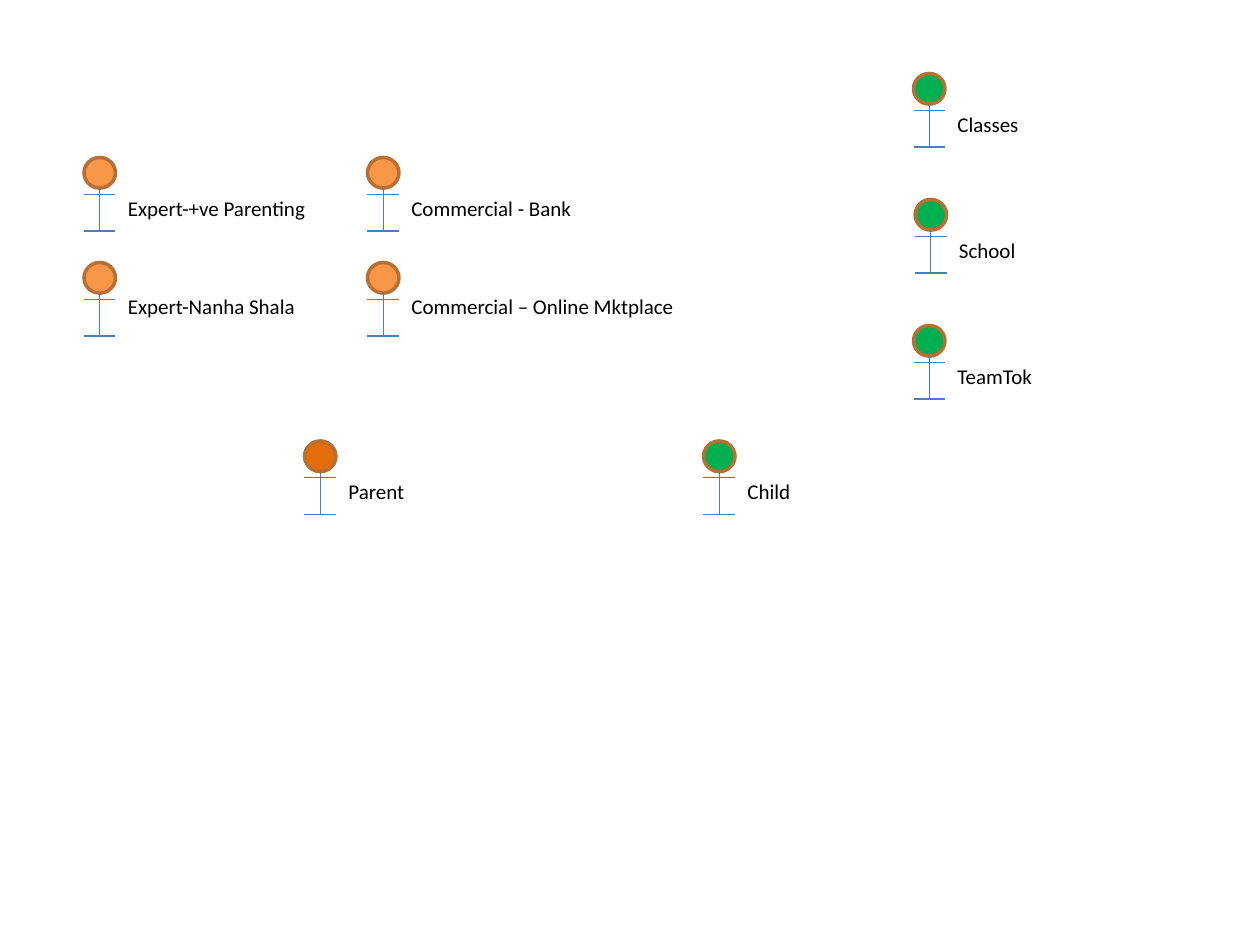
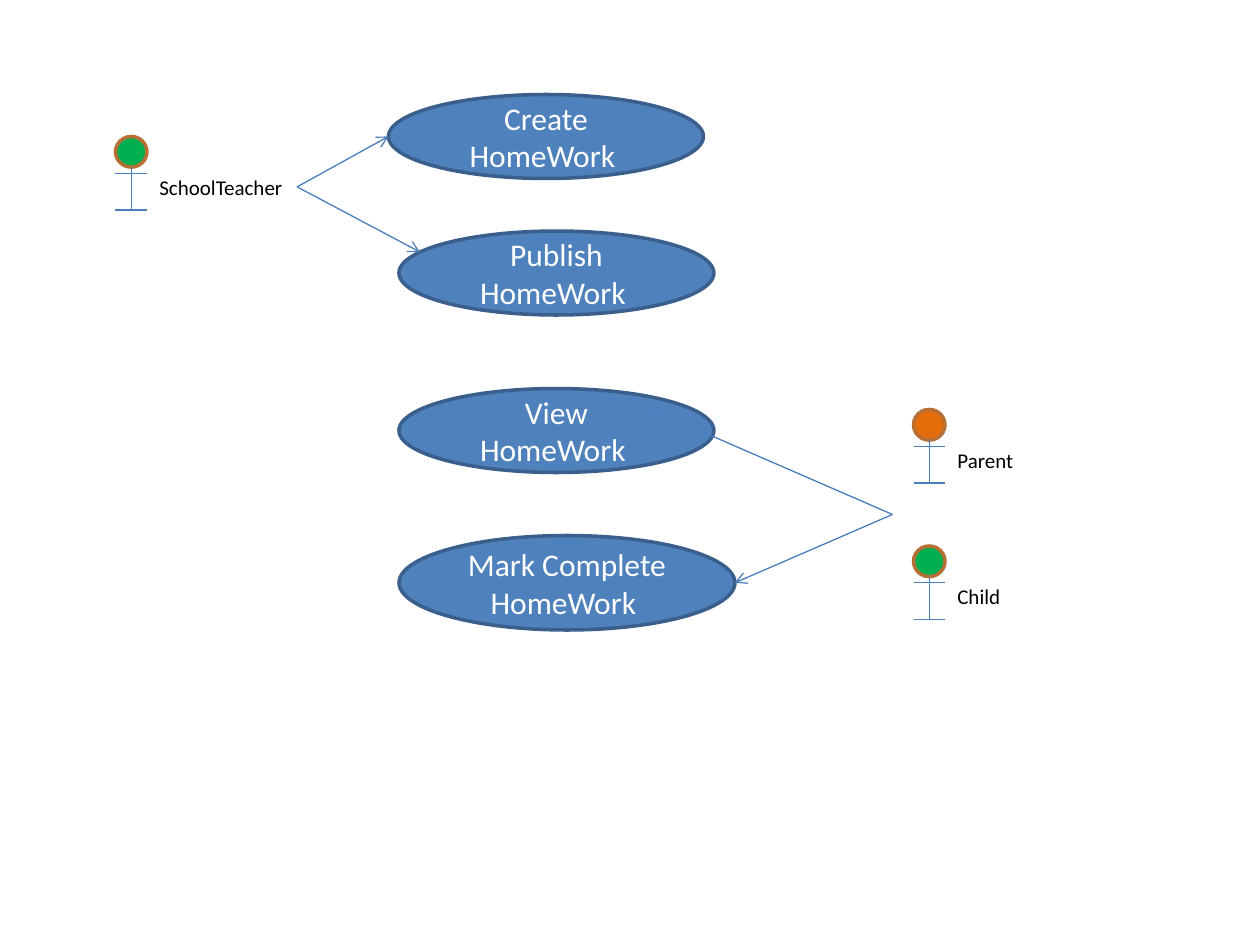
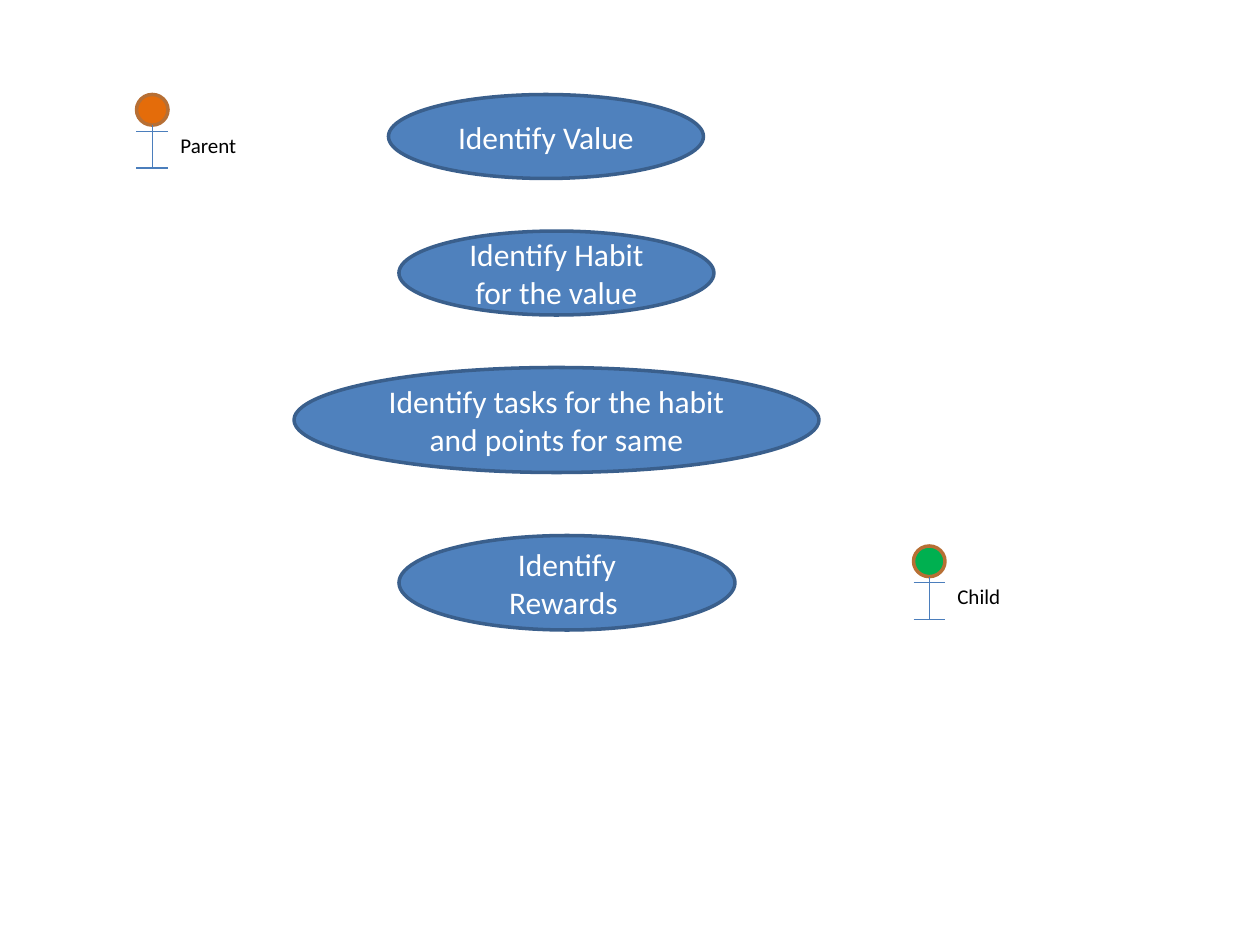
from dataclasses import dataclass

from lxml import etree
from pptx import Presentation
from pptx import util as u
from pptx.dml.color import RGBColor
from pptx.enum import shapes, text
from pptx.oxml.ns import qn

# Shared colours and type
HEAD_EXPERT = RGBColor(0xF7, 0x96, 0x46)
HEAD_PARENT = RGBColor(0xE4, 0x6C, 0x0A)
HEAD_GREEN = RGBColor(0x00, 0xB0, 0x50)
HEAD_EDGE = RGBColor(0xB7, 0x6F, 0x34)
STROKE = RGBColor(0x4B, 0x7E, 0xBC)
CASE_FILL = RGBColor(0x4F, 0x81, 0xBD)
CASE_EDGE = RGBColor(0x3A, 0x5F, 0x8C)
BLACK = RGBColor(0x00, 0x00, 0x00)
WHITE = RGBColor(0xFF, 0xFF, 0xFF)
LABEL_FONT = {"name": "Calibri", "size": u.Pt(12)}
CASE_FONT = {"name": "Calibri", "size": u.Pt(18)}

# Grid of 120 columns by 90 rows over the slide
WIDTH, HEIGHT = u.Inches(10), u.Inches(7.5)
COLUMNS, ROWS = 120, 90

# Stick figure proportions, in grid cells
BODY_WIDTH, HEAD_HEIGHT = 3, 2.92
ARMS_ROW, FEET_ROW = 3.5, 7
LABEL_HEIGHT = 3.64

# Label widths, in columns
LABEL_WIDTHS = {
    "Expert-+ve Parenting": 19.6, "Expert-Nanha Shala": 19,
    "Commercial - Bank": 17.8, "Commercial – Online Mktplace": 27.7,
    "Classes": 8.3, "School": 7.9, "TeamTok": 10.2,
    "Parent": 7.8, "Child": 6.5, "SchoolTeacher": 14.3,
}


@dataclass(frozen=True)
class Actor:
    role: str
    column: float
    row: float
    head: RGBColor = HEAD_GREEN
    label_drop: float = 3


@dataclass(frozen=True)
class UseCase:
    title: str
    column: float
    row: float
    columns: float = 30
    rows: float = 8


@dataclass(frozen=True)
class Arrow:
    start: tuple[float, float]
    end: tuple[float, float]


def across(columns: float) -> int:
    return round(WIDTH * columns / COLUMNS)


def down(rows: float) -> int:
    return round(HEIGHT * rows / ROWS)


def set_values(target, values: dict) -> None:
    for name, value in values.items():
        setattr(target, name, value)


def draw_stroke(canvas, start: tuple[float, float], end: tuple[float, float]):
    stroke = canvas.add_connector(shapes.MSO_CONNECTOR.STRAIGHT, across(start[0]),
                                  down(start[1]), across(end[0]), down(end[1]))
    stroke.line.color.rgb = STROKE
    stroke.line.width = u.Pt(0.75)
    etree.SubElement(stroke._element.spPr, qn("a:effectLst"))
    return stroke


def draw_oval(canvas, column: float, row: float, columns: float, rows: float,
              fill: RGBColor, edge: RGBColor):
    oval = canvas.add_shape(shapes.MSO_SHAPE.OVAL, across(column), down(row),
                            across(columns), down(rows))
    oval.shadow.inherit = False
    oval.fill.solid()
    oval.fill.fore_color.rgb = fill
    oval.line.color.rgb = edge
    oval.line.width = u.Pt(2)
    return oval


def write(frame, words: str, font: dict, color: RGBColor):
    paragraph = frame.paragraphs[0]
    run = paragraph.add_run()
    run.text = words
    set_values(run.font, font)
    run.font.color.rgb = color
    return paragraph


def draw_actor(slide, actor: Actor) -> None:
    figure = slide.shapes.add_group_shape().shapes
    left, top = actor.column, actor.row
    middle, right = left + BODY_WIDTH / 2, left + BODY_WIDTH
    draw_oval(figure, left, top, BODY_WIDTH, HEAD_HEIGHT, actor.head, HEAD_EDGE)
    # Body, then feet and arms
    draw_stroke(figure, (middle, top + HEAD_HEIGHT), (middle, top + FEET_ROW))
    for limb in (FEET_ROW, ARMS_ROW):
        draw_stroke(figure, (left, top + limb), (right, top + limb))
    label = figure.add_textbox(across(right), down(top + actor.label_drop),
                               across(LABEL_WIDTHS[actor.role]), down(LABEL_HEIGHT))
    set_values(label.text_frame, {"word_wrap": False,
                                  "auto_size": text.MSO_AUTO_SIZE.SHAPE_TO_FIT_TEXT})
    write(label.text_frame, actor.role, LABEL_FONT, BLACK)


def draw_use_case(slide, case: UseCase) -> None:
    oval = draw_oval(slide.shapes, case.column, case.row, case.columns, case.rows,
                     CASE_FILL, CASE_EDGE)
    set_values(oval.text_frame, {"word_wrap": True,
                                 "vertical_anchor": text.MSO_ANCHOR.MIDDLE})
    title = write(oval.text_frame, case.title, CASE_FONT, WHITE)
    title.alignment = text.PP_ALIGN.CENTER


def draw_arrow(slide, arrow: Arrow) -> None:
    stroke = draw_stroke(slide.shapes, arrow.start, arrow.end)
    etree.SubElement(stroke.line._get_or_add_ln(), qn("a:tailEnd"), type="arrow")


DRAW = {Actor: draw_actor, UseCase: draw_use_case, Arrow: draw_arrow}

CHILD = Actor("Child", 87, 52)
TEACHER_HUB, FAMILY_HUB = (28.3, 17.8), (85, 49)

# All actors of the system
cast = [
    Actor("Expert-+ve Parenting", 8, 15, HEAD_EXPERT),
    Actor("Expert-Nanha Shala", 8, 25, HEAD_EXPERT, 2.4),
    Actor("Commercial - Bank", 35, 15, HEAD_EXPERT),
    Actor("Commercial – Online Mktplace", 35, 25, HEAD_EXPERT, 2.4),
    Actor("Classes", 87, 7),
    Actor("School", 87.15, 19),
    Actor("TeamTok", 87, 31),
    Actor("Parent", 29, 42, HEAD_PARENT),
    Actor("Child", 67, 42),
]

# Homework use cases
homework = [
    Actor("SchoolTeacher", 11, 13),
    UseCase("Create HomeWork ", 37, 9),
    UseCase("Publish HomeWork ", 38, 22),
    Actor("Parent", 87, 39, HEAD_PARENT),
    UseCase("View HomeWork ", 38, 37),
    CHILD,
    UseCase("Mark Complete HomeWork ", 38, 51, 32, 9),
    Arrow(TEACHER_HUB, (37, 13)),
    Arrow(TEACHER_HUB, (40, 24)),
    Arrow(FAMILY_HUB, (62, 39)),
    Arrow(FAMILY_HUB, (70, 55.5)),
]

# Value and habit use cases
habits = [
    UseCase("Identify Value", 37, 9),
    UseCase("Identify Habit for the value", 38, 22),
    Actor("Parent", 13, 9, HEAD_PARENT),
    UseCase("Identify tasks for the habit and points for same", 28, 35, 50, 10),
    CHILD,
    UseCase("Identify Rewards ", 38, 51, 32, 9),
]

deck = Presentation()
set_values(deck, {"slide_width": WIDTH, "slide_height": HEIGHT})
for parts in (cast, homework, habits):
    page = deck.slides.add_slide(deck.slide_layouts[6])
    for part in parts:
        DRAW[type(part)](page, part)
deck.save("out.pptx")
